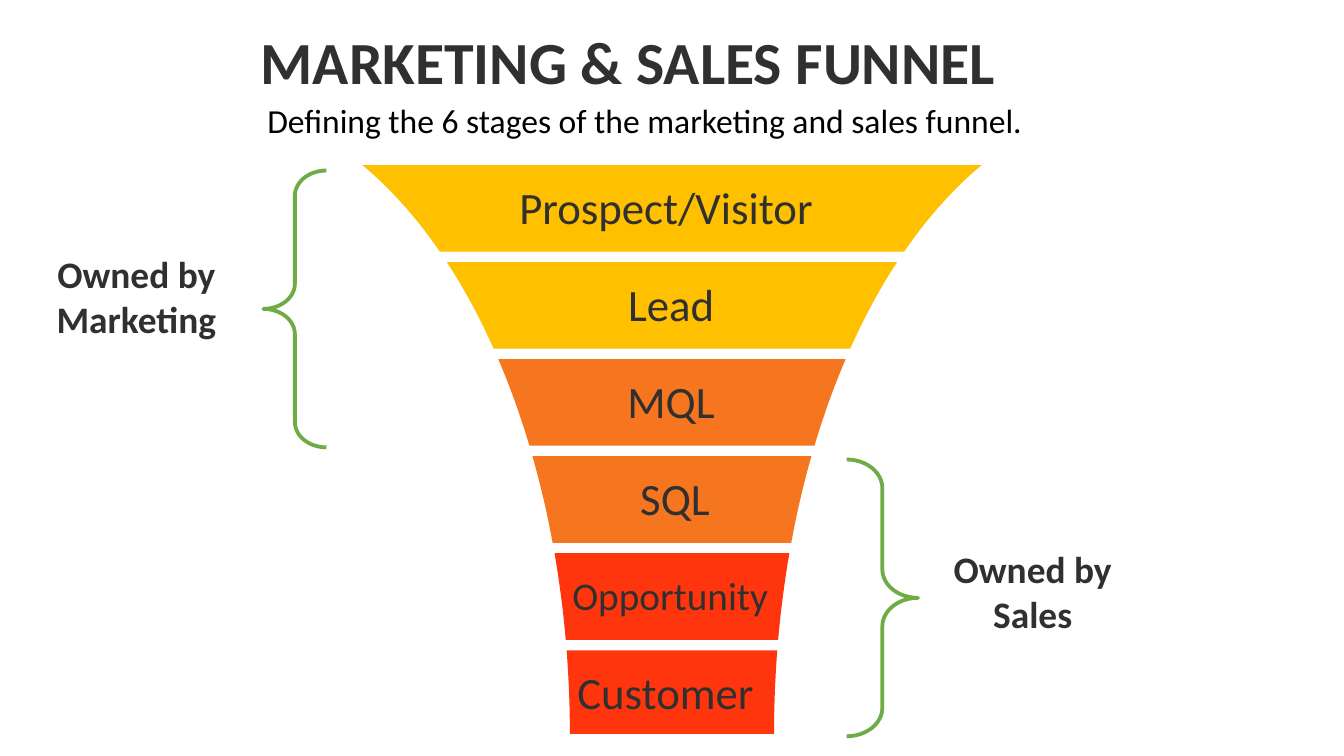
from math import sqrt

from pptx import Presentation
from pptx.dml.color import RGBColor
from pptx.enum.shapes import MSO_SHAPE
from pptx.enum.text import MSO_ANCHOR, PP_ALIGN
from pptx.util import Pt

LEFT, CENTER = PP_ALIGN.LEFT, PP_ALIGN.CENTER
TOP, MIDDLE = MSO_ANCHOR.TOP, MSO_ANCHOR.MIDDLE
LEFT_BRACE, RIGHT_BRACE = MSO_SHAPE.LEFT_BRACE, MSO_SHAPE.RIGHT_BRACE

FONT = "Calibri"
COLORS = {
    "text": "303030",
    "black": "000000",
    "yellow": "FFC000",
    "orange": "F6751F",
    "red": "FF350D",
    "brace": "6FAC46",
}

# Funnel geometry in points: each side is a quarter-ellipse arc
AXIS = 360
FUNNEL_TOP, FUNNEL_BOTTOM = 88.4, 393.2
NECK = 54.7
CURVE_WIDTH, CURVE_HEIGHT = 196.6, 338.4
BAND_PITCH, BAND_HEIGHT = 52, 46.4
STEPS = 12

# Label, fill, text size, label centre, label width
STAGES = [
    ("Prospect/Visitor", "yellow", 24, 356.8, 165),
    ("Lead", "yellow", 24, 359.5, 110),
    ("MQL", "orange", 24, 359.5, 110),
    ("SQL", "orange", 24, 361.6, 110),
    ("Opportunity", "red", 21, 359, 110),
    ("Customer", "red", 24, 356.5, 104),
]


def color(name):
    return RGBColor.from_string(COLORS[name])


def place(shape, left, top, width, height):
    shape.left, shape.top = Pt(left), Pt(top)
    shape.width, shape.height = Pt(width), Pt(height)


def write(shape, lines, size, tone="text", bold=False, align=LEFT, anchor=TOP):
    frame = shape.text_frame
    frame.word_wrap = True
    frame.vertical_anchor = anchor
    frame.margin_left = frame.margin_right = 0
    frame.margin_top = frame.margin_bottom = 0
    for index, line in enumerate(lines):
        para = frame.add_paragraph() if index else frame.paragraphs[0]
        para.alignment = align
        span = para.add_run()
        span.text = line
        span.font.name = FONT
        span.font.size = Pt(size)
        span.font.bold = bold
        span.font.color.rgb = color(tone)


def add_label(slide, bounds, lines, size, **style):
    box = slide.shapes.add_textbox(*map(Pt, bounds))
    write(box, lines, size, **style)


def half_width(y):
    rise = (FUNNEL_BOTTOM - y) / CURVE_HEIGHT
    return NECK + CURVE_WIDTH * (1 - sqrt(1 - rise ** 2))


def add_band(slide, top, bottom, fill):
    heights = [top + (bottom - top) * step / STEPS for step in range(STEPS + 1)]
    left_side = [(Pt(AXIS - half_width(y)), Pt(y)) for y in heights]
    right_side = [(Pt(AXIS + half_width(y)), Pt(y)) for y in reversed(heights)]
    outline = left_side + right_side
    builder = slide.shapes.build_freeform(*outline[0])
    builder.add_line_segments(outline[1:], close=True)
    band = builder.convert_to_shape()
    band.shadow.inherit = False
    band.fill.solid()
    band.fill.fore_color.rgb = color(fill)
    band.line.fill.background()


def add_brace(slide, kind, bounds):
    brace = slide.shapes.add_shape(kind, *map(Pt, bounds))
    brace.adjustments[0] = 0.4
    brace.shadow.inherit = False
    brace.fill.background()
    brace.line.color.rgb = color("brace")
    brace.line.width = Pt(2.04)


def main():
    deck = Presentation()
    deck.slide_width, deck.slide_height = Pt(720), Pt(405)
    slide = deck.slides.add_slide(deck.slide_layouts[5])

    # Heading
    title = slide.shapes.title
    place(title, 139.6, 13, 443.5, 40.3)
    write(title, ["MARKETING & SALES FUNNEL"], 32, bold=True)
    add_label(slide, (143.2, 53.4, 434, 24),
              ["Defining the 6 stages of the marketing and sales funnel."],
              18, tone="black")

    # Funnel stages
    for index, (name, fill, size, center, width) in enumerate(STAGES):
        top = FUNNEL_TOP + index * BAND_PITCH
        add_band(slide, top, min(top + BAND_HEIGHT, FUNNEL_BOTTOM), fill)
        add_label(slide, (center - width / 2, top - 1, width, BAND_HEIGHT),
                  [name], size, align=CENTER, anchor=MIDDLE)

    # Owners
    add_brace(slide, LEFT_BRACE, (141.1, 91.4, 33.8, 148.3))
    add_label(slide, (26.3, 134.5, 93.6, 50), ["Owned by", "Marketing"],
              20, bold=True, align=CENTER)
    add_brace(slide, RIGHT_BRACE, (453.6, 246.2, 38.2, 148.3))
    add_label(slide, (506.5, 292.5, 93.6, 50), ["Owned by", "Sales"],
              20, bold=True, align=CENTER)

    deck.save("out.pptx")


if __name__ == "__main__":
    main()
